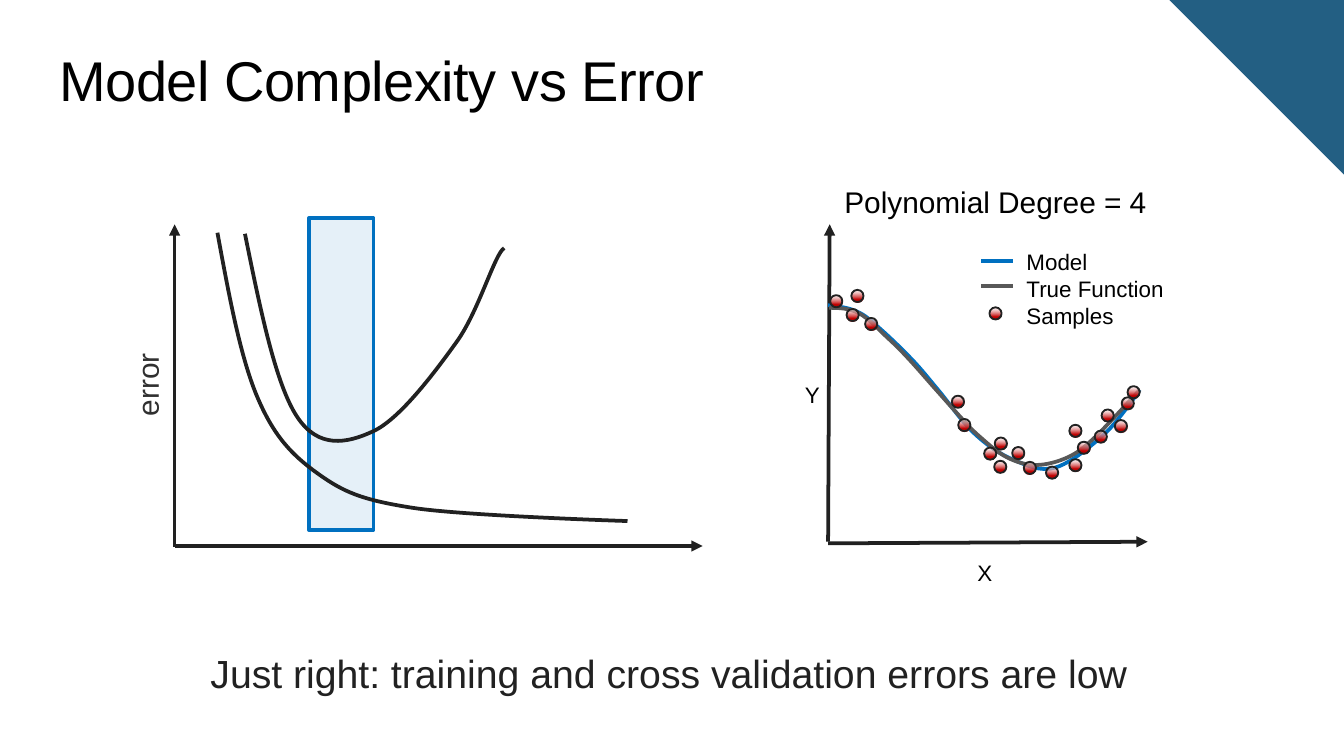
"""Build the slide on model complexity and error, with an error sketch and a fitted curve."""
from dataclasses import dataclass

from lxml.etree import SubElement
from pptx import Presentation
from pptx.dml.color import RGBColor
from pptx.enum.shapes import MSO_CONNECTOR, MSO_SHAPE
from pptx.enum.text import MSO_ANCHOR, PP_ALIGN
from pptx.oxml.ns import qn
from pptx.util import Cm, Pt


@dataclass(frozen=True)
class Theme:
    font: str = "Arial"
    corner: RGBColor = RGBColor.from_string("235F83")
    blue: RGBColor = RGBColor.from_string("0070C0")
    gray: RGBColor = RGBColor.from_string("585858")
    red: RGBColor = RGBColor.from_string("C00000")
    white: RGBColor = RGBColor.from_string("FFFFFF")
    black: RGBColor = RGBColor.from_string("000000")
    ink: RGBColor = RGBColor.from_string("212121")
    soft: RGBColor = RGBColor.from_string("303030")
    title: Pt = Pt(30)
    message: Pt = Pt(21)
    label: Pt = Pt(16)
    small: Pt = Pt(12)
    stroke: Pt = Pt(2)
    outline: Pt = Pt(1)


theme = Theme()


def add_text(shapes, text, box, size, color, align=PP_ALIGN.CENTER,
             anchor=MSO_ANCHOR.MIDDLE, spacing=None):
    s = shapes.add_textbox(*map(Cm, box))
    tf = s.text_frame
    tf.word_wrap = True
    tf.vertical_anchor = anchor
    tf.margin_left = tf.margin_right = tf.margin_top = tf.margin_bottom = 0
    tf.text = text
    for p in tf.paragraphs:
        p.alignment = align
        p.line_spacing = spacing
        for r in p.runs:
            r.font.name, r.font.size = theme.font, size
            r.font.color.rgb = color
    return s


def add_curve(shapes, knots, beyond, color):
    builder = shapes.build_freeform(*map(Cm, knots[0]))
    builder.add_line_segments([(Cm(x), Cm(y)) for x, y in knots[1:]], close=False)
    s = builder.convert_to_shape()
    s.shadow.inherit = False
    s.fill.background()
    s.line.color.rgb = color
    s.line.width = theme.stroke
    following = knots[2:] + [beyond or knots[-2]]
    slopes = [[(c - a) / 6 for a, c in zip(before, after)]
              for before, after in zip(knots, following)]
    for i, segment in enumerate(s.element.xpath(".//a:lnTo")):
        start, end = knots[i], knots[i + 1]
        c2 = [e - m for e, m in zip(end, slopes[i])]
        c1 = [k + m for k, m in zip(start, slopes[i - 1])] if i else \
            [(k + c) / 2 for k, c in zip(start, c2)]
        segment.tag = qn("a:cubicBezTo")
        end_point = segment[0]
        for x, y in (c1, c2):
            point = SubElement(segment, qn("a:pt"))
            point.set("x", str(Cm(x) - s.left))
            point.set("y", str(Cm(y) - s.top))
        segment.append(end_point)


prs = Presentation()
prs.slide_width, prs.slide_height = Cm(25.4), Cm(14.29)
shapes = prs.slides.add_slide(prs.slide_layouts[6]).shapes

corner = shapes.add_shape(MSO_SHAPE.RIGHT_TRIANGLE, Cm(22.1), 0, Cm(3.3), Cm(3.3))
corner.rotation = 180
corner.shadow.inherit = False
corner.fill.solid()
corner.fill.fore_color.rgb = theme.corner
corner.line.fill.background()

title = add_text(shapes, "Model Complexity vs Error", (1.12, 0.86, 23.44, 1.27),
                 theme.title, theme.black, PP_ALIGN.LEFT, MSO_ANCHOR.TOP)
title.element.xpath(".//a:rPr")[0].set("spc", "-25")
add_text(shapes, "Just right: training and cross validation errors are low",
         (1.47, 12.27, 22.35, 0.89), theme.message, theme.ink, anchor=MSO_ANCHOR.TOP)

sweet_spot = shapes.add_shape(MSO_SHAPE.RECTANGLE, Cm(5.84), Cm(4.12), Cm(1.22), Cm(5.9))
sweet_spot.shadow.inherit = False
sweet_spot.fill.solid()
sweet_spot.fill.fore_color.rgb = theme.blue
sweet_spot.line.color.rgb = theme.blue
sweet_spot.line.width = theme.stroke
fill_color = sweet_spot.element.spPr.xpath("./a:solidFill/a:srgbClr")[0]
SubElement(fill_color, qn("a:alpha")).set("val", "10000")

lines = [
    ((3.3, 10.34), (3.3, 4.24), theme.ink, True),
    ((3.3, 10.32), (13.28, 10.32), theme.ink, True),
    ((15.65, 10.24), (15.68, 4.24), theme.ink, True),
    ((15.65, 10.27), (21.69, 10.24), theme.ink, True),
    ((18.54, 5.41), (19.15, 5.41), theme.gray, False),
    ((18.54, 4.94), (19.15, 4.94), theme.blue, False),
]
for start, end, color, arrow in lines:
    s = shapes.add_connector(MSO_CONNECTOR.STRAIGHT, *map(Cm, start + end))
    s.line.color.rgb = color
    s.line.width = theme.stroke
    if arrow:
        ln = s.element.spPr.find(qn("a:ln"))
        SubElement(ln, qn("a:tailEnd")).set("type", "triangle")
    SubElement(s.element.spPr, qn("a:effectLst"))

validation_error = [(4.63, 4.42), (5.61, 7.87), (7.06, 8.15), (8.64, 6.45), (9.53, 4.69)]
training_error = [(4.11, 4.4), (4.85, 7.47), (5.99, 8.94), (7.8, 9.6), (11.86, 9.85)]
model = [(15.65, 5.77), (16.2, 5.89), (16.64, 6.22), (17.25, 6.81), (17.73, 7.37),
         (18.42, 8.2), (19.15, 8.69), (19.94, 8.84), (20.88, 8.2), (21.54, 7.37)]
true_function = [(15.67, 5.82), (16.23, 5.92), (16.79, 6.4), (17.17, 6.78), (17.65, 7.32),
                 (18.14, 7.87), (18.49, 8.23), (19.02, 8.64), (19.58, 8.79), (20.19, 8.64),
                 (20.7, 8.26), (21.54, 7.37)]
for knots, beyond, color in [
    (validation_error, (9.7, 5.84), theme.ink),
    (training_error, None, theme.ink),
    (model, None, theme.blue),
    (true_function, None, theme.gray),
]:
    add_curve(shapes, knots, beyond, color)

samples = [
    (16.09, 5.48), (15.69, 5.58), (16, 5.84), (16.35, 6.01), (17.99, 7.48), (21.31, 7.3),
    (21.2, 7.51), (20.82, 7.74), (20.69, 8.14), (20.21, 8.03), (20.37, 8.35), (20.21, 8.68),
    (19.77, 8.82), (19.13, 8.45), (19.35, 8.73), (18.11, 7.92), (18.8, 8.27), (18.6, 8.46),
    (18.79, 8.71), (21.07, 7.94),
]
legend_sample = (18.7, 5.81)
for x, y in samples + [legend_sample]:
    s = shapes.add_shape(MSO_SHAPE.OVAL, Cm(x), Cm(y), Cm(0.23), Cm(0.23))
    s.shadow.inherit = False
    s.fill.gradient()
    s.fill.gradient_angle = 270
    for stop, color, position in zip(s.fill.gradient_stops, (theme.white, theme.red), (0, 0.75)):
        stop.color.rgb = color
        stop.position = position
    top_color = s.element.spPr.xpath("./a:gradFill/a:gsLst/a:gs/a:srgbClr")[0]
    SubElement(top_color, qn("a:alpha")).set("val", "50000")
    s.line.color.rgb = theme.ink
    s.line.width = theme.outline

error_label = add_text(shapes, "error", (-0.28, 6.64, 6.05, 1.27), theme.label, theme.soft,
                       spacing=Pt(21))
error_label.rotation = 270
for text, box, size in [
    ("X", (18.27, 10.06, 0.69, 1.04), theme.small),
    ("Y", (15.01, 6.76, 0.69, 0.91), theme.small),
    ("Polynomial Degree = 4", (15.88, 3.12, 5.87, 1.04), theme.label),
]:
    add_text(shapes, text, box, size, theme.black, spacing=Pt(28.5))
add_text(shapes, "Model\nTrue Function\nSamples", (19.4, 4.68, 2.95, 1.55), theme.small,
         theme.black, PP_ALIGN.LEFT)

prs.save("out.pptx")
